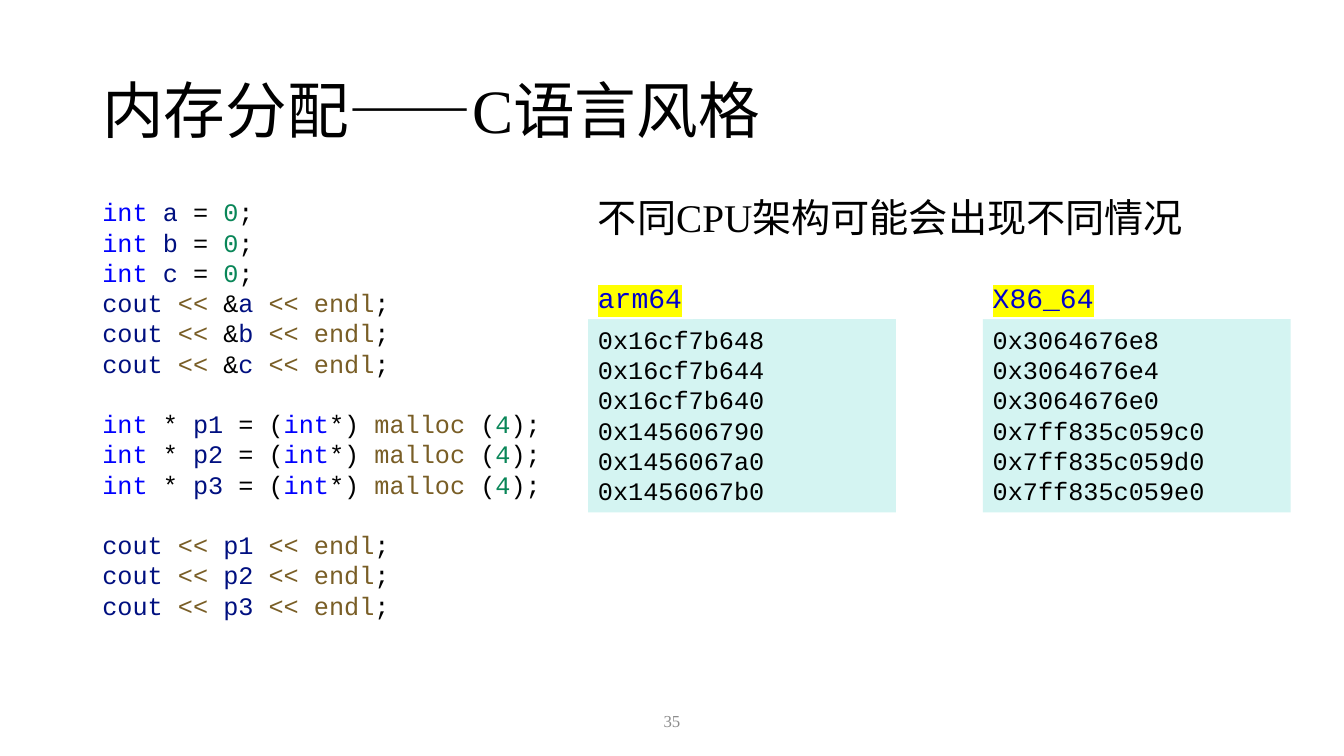
"""Build the slide on C style memory allocation."""
from pptx import Presentation
from pptx.dml.color import RGBColor
from pptx.enum.shapes import MSO_SHAPE
from pptx.enum.text import MSO_ANCHOR, PP_ALIGN
from pptx.oxml import parse_xml
from pptx.util import Pt

TITLE = "内存分配——C语言风格"
NOTE = "不同CPU架构可能会出现不同情况"
PAGE = "35"
INT = [("int ", "key"), ("{}", "name"), (" = ", "ink"), ("0", "num"), (";", "ink")]
SHOW = [("cout ", "name"), ("<<", "call"), (" &", "ink"), ("{} ", "name"),
        ("<< endl", "call"), (";", "ink")]
ALLOC = [("int", "key"), (" * ", "ink"), ("{}", "name"), (" = (", "ink"),
         ("int", "key"), ("*) ", "ink"), ("malloc", "call"), (" (", "ink"),
         ("4", "num"), (");", "ink")]
PRINT = [("cout ", "name"), ("<< ", "call"), ("{} ", "name"),
         ("<< endl", "call"), (";", "ink")]
VARS = ["a", "b", "c"]
PTRS = ["p1", "p2", "p3"]
CODE = [(INT, VARS, 0), (SHOW, VARS, 0), (ALLOC, PTRS, 1), (PRINT, PTRS, 1)]
RESULTS = [
    ("arm64", 75, ["0x16cf7b648", "0x16cf7b644", "0x16cf7b640",
                   "0x145606790", "0x1456067a0", "0x1456067b0"]),
    ("X86_64", 87, ["0x3064676e8", "0x3064676e4", "0x3064676e0",
                    "0x7ff835c059c0", "0x7ff835c059d0", "0x7ff835c059e0"]),
]
COLORS = {"ink": "000000", "key": "0000FF", "name": "001080", "num": "098658",
          "call": "795E26", "page": "8C8C8C", "panel": "D4F4F2",
          "white": "FFFFFF", "label": "0000CC", "mark": "FFFF00"}
SERIF, MONO = "Times New Roman", "Courier New"
LEFT, GAP, LINE = 420, 282, 21.6
NS = "http://schemas.openxmlformats.org/drawingml/2006/main"


def color(name):
    return RGBColor.from_string(COLORS[name])


def style(para, face, size, tint="ink"):
    font = para.font
    font.name, font.size = face, Pt(size)
    font.color.rgb = color(tint)


def text_box(slide, area, lines, face, size, tint="ink", fill=None):
    area = [Pt(n) for n in area]
    if fill:
        box = slide.shapes.add_shape(MSO_SHAPE.RECTANGLE, *area)
        box.shadow.inherit = False
        box.fill.solid()
        box.fill.fore_color.rgb = color(fill)
        box.line.fill.background()
    else:
        box = slide.shapes.add_textbox(*area)
    frame = box.text_frame
    frame.word_wrap = True
    frame.vertical_anchor = MSO_ANCHOR.TOP
    for i, line in enumerate(lines):
        para = frame.add_paragraph() if i else frame.paragraphs[0]
        para.text = line
        para.alignment = PP_ALIGN.LEFT
        style(para, face, size, tint)
    return frame


def add_code(slide):
    frame = text_box(slide, (66, 137, 480, 312), [""], MONO, 18)
    para = frame.paragraphs[0]
    for form, names, skip in CODE:
        for i, name in enumerate(names):
            if para.runs:
                para = frame.add_paragraph()
            style(para, MONO, 18)
            if skip and i == 0:
                para.space_before = Pt(LINE)
            for part, tint in form:
                run = para.add_run()
                run.text = part.format(name)
                run.font.color.rgb = color(tint)


def add_result(slide, x, name, width, lines):
    text_box(slide, (x, 228, 220, 138), lines, MONO, 18, fill="panel")
    frame = text_box(slide, (x, 196.5, width, 31.5), [name], MONO, 20, "label", "white")
    frame.word_wrap = False
    props = frame.paragraphs[0].runs[0].font._element
    props.append(parse_xml(
        f'<a:highlight xmlns:a="{NS}"><a:srgbClr val="{COLORS["mark"]}"/></a:highlight>'))


def main():
    deck = Presentation()
    deck.slide_width, deck.slide_height = Pt(960), Pt(540)
    slide = deck.slides.add_slide(deck.slide_layouts[6])
    title = text_box(slide, (66, 28.8, 828, 104.4), [TITLE], SERIF, 44)
    title.vertical_anchor = MSO_ANCHOR.MIDDLE
    title.paragraphs[0].line_spacing = 0.9
    page = text_box(slide, (451, 500.5, 58, 28.8), [PAGE], SERIF, 12, "page")
    page.vertical_anchor = MSO_ANCHOR.MIDDLE
    page.paragraphs[0].alignment = PP_ALIGN.CENTER
    add_code(slide)
    note = text_box(slide, (LEFT, 138.5, 508, 46), [NOTE], SERIF, 28)
    note.paragraphs[0].line_spacing = 0.9
    for i, (name, width, lines) in enumerate(RESULTS):
        add_result(slide, LEFT + i * GAP, name, width, lines)
    deck.save("out.pptx")


if __name__ == "__main__":
    main()
